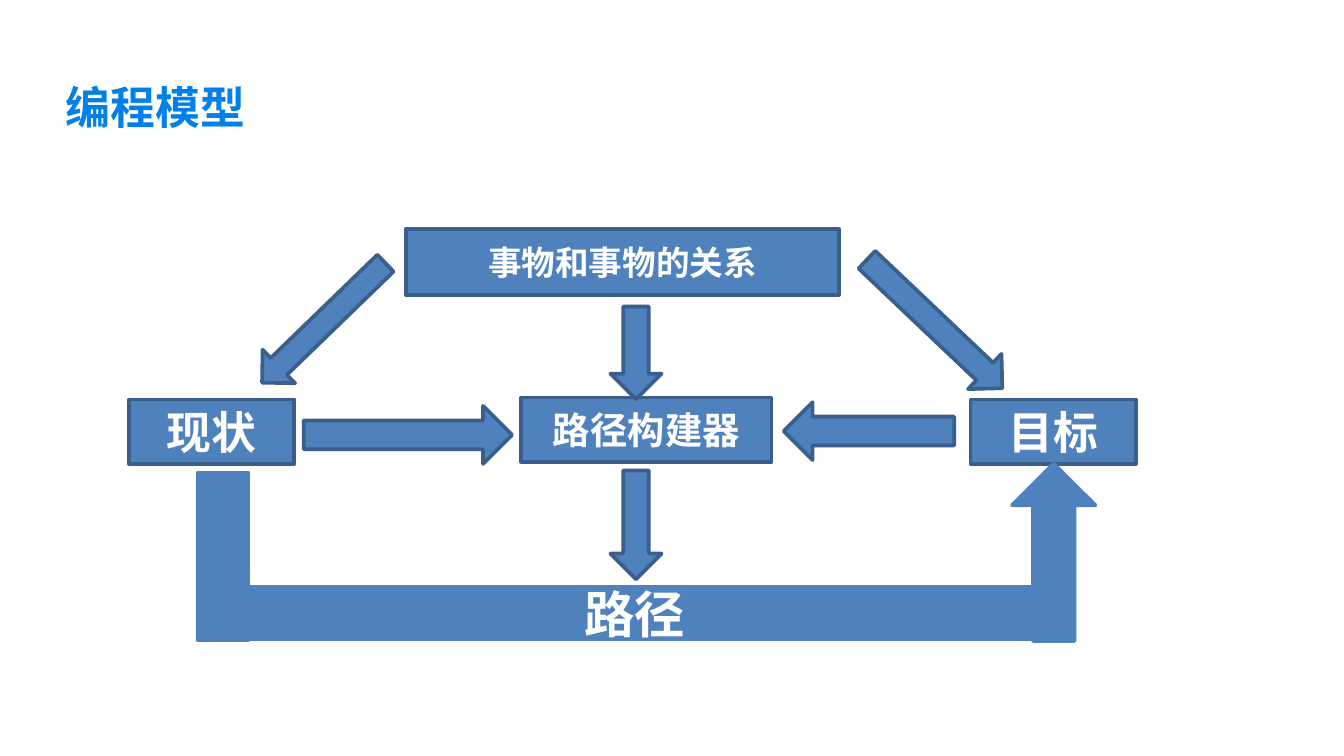
import pptx
import pptx.dml.color
import pptx.enum.shapes
import pptx.enum.text
import pptx.oxml.ns
import pptx.util
from lxml import etree

Pt = pptx.util.Pt
KIND = pptx.enum.shapes.MSO_SHAPE
BLUE, EDGE, WHITE, TITLE = "4F81BD", "3A5F8C", "FFFFFF", "0080E8"


def color(hue):
    """Turn a hex string into a colour."""
    return pptx.dml.color.RGBColor.from_string(hue)


def write(frame, text, size, font, hue):
    """Put one bold line of text in a frame."""
    frame.text = text
    for run in frame.paragraphs[0].runs:
        run.font.name = font
        run.font.size = Pt(size)
        run.font.bold = True
        run.font.color.rgb = color(hue)
        east = etree.SubElement(run.font._element, pptx.oxml.ns.qn("a:ea"))
        east.set("typeface", font)


def shape(slide, kind, place, edge=EDGE, turn=0):
    """Add a blue shape, with an edge and a turn in degrees."""
    item = slide.shapes.add_shape(kind, *map(Pt, place))
    item.shadow.inherit = False
    item.fill.solid()
    item.fill.fore_color.rgb = color(BLUE)
    item.line.color.rgb = color(edge)
    item.line.width = Pt(2)
    item.rotation = turn
    return item


def box(slide, text, size, place, edge=EDGE):
    """Add a rectangle with centred white text."""
    frame = shape(slide, KIND.RECTANGLE, place, edge).text_frame
    frame.vertical_anchor = pptx.enum.text.MSO_ANCHOR.MIDDLE
    write(frame, text, size, "Calibri", WHITE)
    frame.paragraphs[0].alignment = pptx.enum.text.PP_ALIGN.CENTER


def title(slide, text, place):
    """Add the slide title without margins."""
    frame = slide.shapes.add_textbox(*map(Pt, place)).text_frame
    frame.word_wrap = True
    frame.margin_left = frame.margin_right = 0
    frame.margin_top = frame.margin_bottom = 0
    write(frame, text, 24, "Noto Sans CJK SC", TITLE)


def main():
    """Build and save the slide."""
    deck = pptx.Presentation()
    deck.slide_width, deck.slide_height = Pt(720), Pt(405)
    slide = deck.slides.add_slide(deck.slide_layouts[6])

    box(slide, "现状", 24, (69.1, 214, 88.6, 34.5))
    box(slide, "目标", 24, (519.9, 214, 88.6, 34.5))
    box(slide, "事物和事物的关系", 18, (217.5, 122.5, 232, 35.5))
    shape(slide, KIND.LEFT_ARROW, (127.5, 160.5, 92, 25), turn=315.9)
    shape(slide, KIND.LEFT_ARROW, (450.7, 160.5, 100, 26), turn=223.5)
    box(slide, "路径构建器", 20, (279.3, 213, 134, 34.5))
    for top, height in ((164.2, 49.7), (252, 58.3)):
        shape(slide, KIND.DOWN_ARROW, (327, top, 27.4, height))
    shape(slide, KIND.RIGHT_ARROW, (162.7, 217.5, 111.6, 31))
    shape(slide, KIND.LEFT_ARROW, (419.8, 215.5, 91.4, 31))

    box(slide, "路径", 27, (105.8, 314.7, 468.7, 28), BLUE)
    shape(slide, KIND.RECTANGLE, (105.8, 253.4, 27.4, 89.5), BLUE)
    shape(slide, KIND.UP_ARROW, (542.2, 248.4, 44.6, 95), BLUE)
    title(slide, "编程模型", (35.3, 42.5, 661.7, 41))
    deck.save("out.pptx")


if __name__ == "__main__":
    main()
